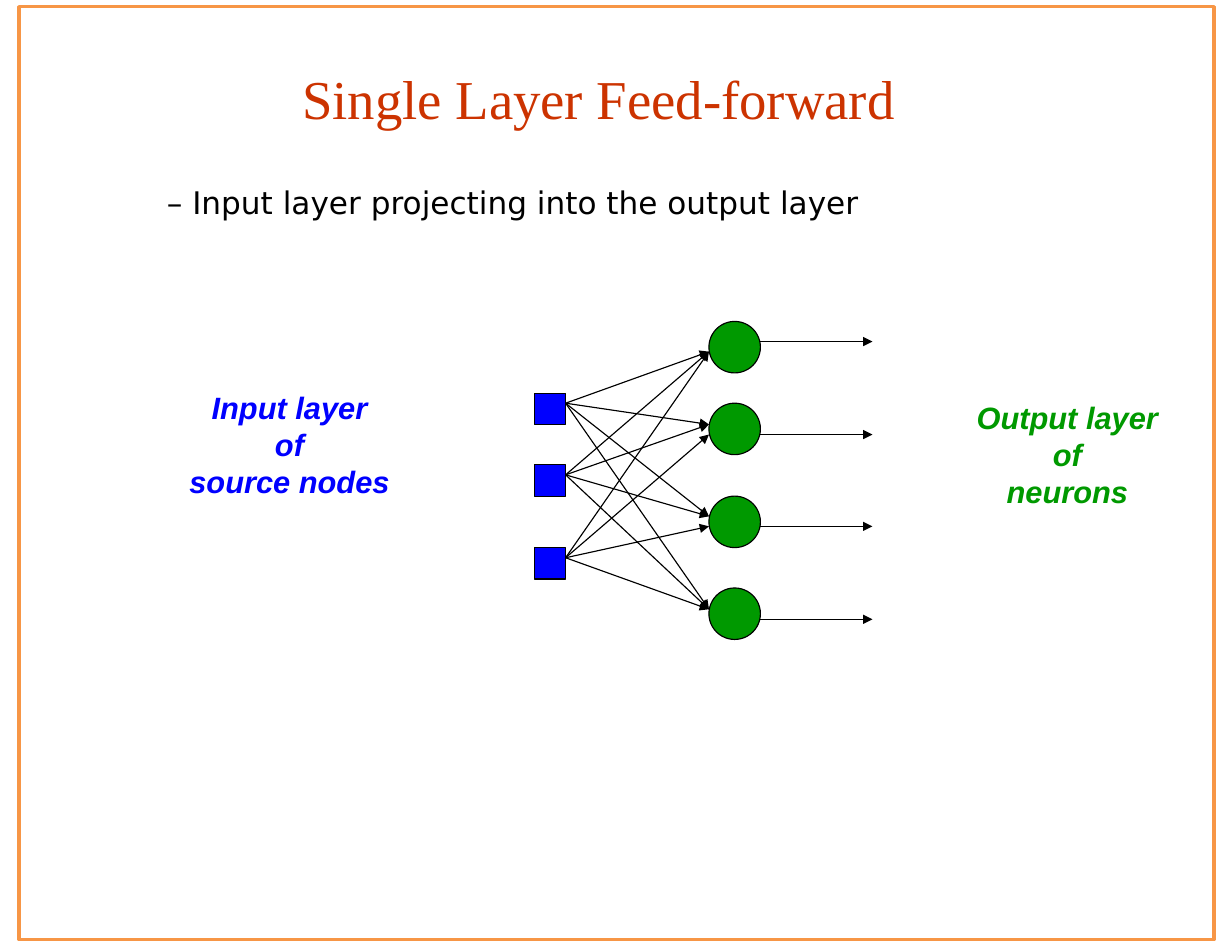
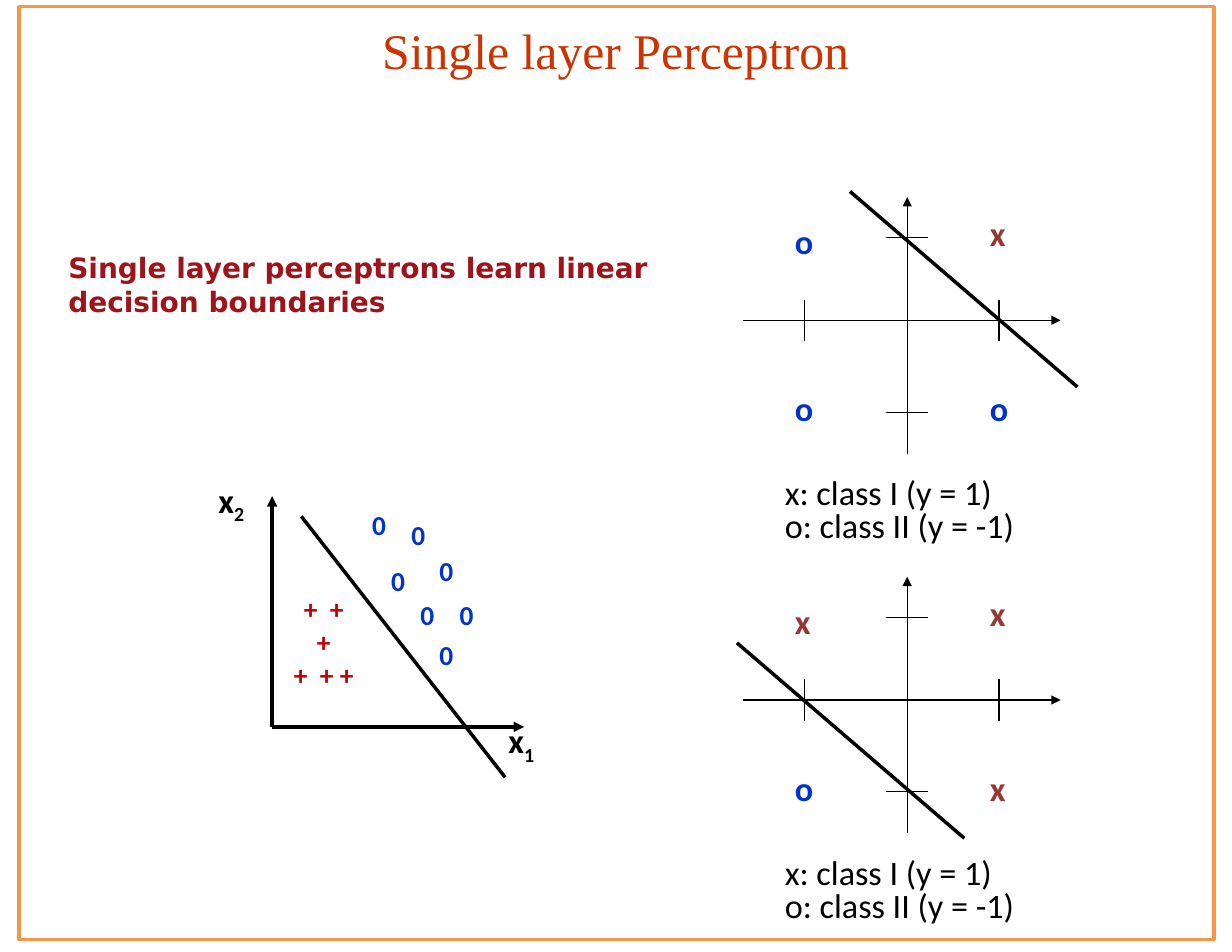
from lxml.etree import SubElement
from pptx import Presentation
from pptx.dml.color import RGBColor
from pptx.enum.shapes import MSO_CONNECTOR, MSO_SHAPE
from pptx.enum.text import MSO_ANCHOR, MSO_AUTO_SIZE, PP_ALIGN
from pptx.oxml.ns import qn
from pptx.util import Inches, Pt

# Shared colours and fonts
BLACK = "000000"
TITLE_RED = "CC3300"
FRAME_ORANGE = "F79646"
INPUT_BLUE = "0000FF"
NEURON_GREEN = "009900"
STATEMENT_RED = "9F141A"
PLUS_RED = "C00000"
CLASS_COLORS = {"x": "953735", "o": "0033CC", "0": "0033CC"}
TITLE_FONT = "Times New Roman"
BODY_FONT = "DejaVu Sans"
LABEL_FONT = "Arial"
PLOT_FONT = "Calibri"


def color(hex_string):
    return RGBColor.from_string(hex_string)


# Drawing helpers
def write_text(shape, paragraphs, size=18, font=PLOT_FONT, fill=BLACK, bold=False,
               italic=False, align=PP_ALIGN.LEFT, anchor=MSO_ANCHOR.TOP, wrap=True,
               margins=(0.1, 0.05, 0.1, 0.05), line_spacing=None, indent=0):
    """Each paragraph is a string or a list of (text, run attributes) pairs."""
    frame = shape.text_frame
    frame.auto_size = MSO_AUTO_SIZE.NONE
    frame.word_wrap = wrap
    frame.vertical_anchor = anchor
    (frame.margin_left, frame.margin_top,
     frame.margin_right, frame.margin_bottom) = map(Inches, margins)
    for index, content in enumerate(paragraphs):
        paragraph = frame.add_paragraph() if index else frame.paragraphs[0]
        paragraph.alignment = align
        paragraph.space_before = Pt(0)
        if line_spacing:
            paragraph.line_spacing = line_spacing
        if shape.is_placeholder:
            properties = paragraph._p.get_or_add_pPr()
            properties.set("marL", str(Inches(indent)))
            properties.set("indent", "0")
            SubElement(properties, qn("a:buNone"))
        runs = [(content, {})] if isinstance(content, str) else content
        for text, attributes in runs:
            run = paragraph.add_run()
            run.text = text
            run.font.size = Pt(size)
            run.font.name = font
            run.font.bold = bold
            run.font.italic = italic
            run.font.color.rgb = color(fill)
            for name, value in attributes.items():
                run.font._element.set(name, value)


def add_text(shapes, box, paragraphs, **text_format):
    shape = shapes.add_textbox(*map(Inches, box))
    write_text(shape, paragraphs, **text_format)


def fill_placeholder(placeholder, box, paragraphs, **text_format):
    (placeholder.left, placeholder.top,
     placeholder.width, placeholder.height) = map(Inches, box)
    write_text(placeholder, paragraphs, **text_format)


def add_line(shapes, start, end, width=0.75, arrow=False):
    line = shapes.add_connector(MSO_CONNECTOR.STRAIGHT, *map(Inches, (*start, *end)))
    line.line.color.rgb = color(BLACK)
    line.line.width = Pt(width)
    if arrow:
        SubElement(line.line._get_or_add_ln(), qn("a:tailEnd"), type="triangle")
    SubElement(line._element.spPr, qn("a:effectLst"))


def add_outlined(shapes, kind, box, fill=None, outline=BLACK, width=0.75):
    shape = shapes.add_shape(kind, *map(Inches, box))
    shape.shadow.inherit = False
    if fill:
        shape.fill.solid()
        shape.fill.fore_color.rgb = color(fill)
    else:
        shape.fill.background()
    shape.line.color.rgb = color(outline)
    shape.line.width = Pt(width)


# Frame and title common to both slides
def add_framed_slide(presentation, title, title_box, title_size):
    slide = presentation.slides.add_slide(presentation.slide_layouts[1])
    fill_placeholder(slide.shapes.title, title_box, [title], size=title_size,
                     font=TITLE_FONT, fill=TITLE_RED, align=PP_ALIGN.CENTER,
                     margins=(0, 0, 0, 0))
    add_outlined(slide.shapes, MSO_SHAPE.RECTANGLE, (0.17, 0.06, 10.67, 8.33),
                 outline=FRAME_ORANGE, width=2)
    return slide


# Network of source nodes and neurons
def add_network(slide, left, top):
    shapes = slide.shapes.add_group_shape().shapes
    node_size, neuron_size = 0.28, 0.46
    neuron_left = left + 1.56
    neuron_right = neuron_left + neuron_size
    node_tops = [top + offset for offset in (0.64, 1.28, 2.02)]
    neuron_tops = [top + offset for offset in (0, 0.73, 1.56, 2.38)]
    # Height on each neuron where the arrows from each source node end
    entries = [(0.27, 0.19, 0.18, 0.19), (0.27, 0.19, 0.18, 0.19), (0.27, 0.28, 0.27, 0.19)]
    exits = (0.18, 0.28, 0.27, 0.28)

    for node_top, entry_offsets in zip(node_tops, entries):
        for neuron_top, entry in zip(neuron_tops, entry_offsets):
            add_line(shapes, (left + node_size, node_top + 0.09),
                     (neuron_left, neuron_top + entry), arrow=True)
        add_outlined(shapes, MSO_SHAPE.RECTANGLE,
                     (left, node_top, node_size, node_size), fill=INPUT_BLUE)
    for neuron_top, exit_offset in zip(neuron_tops, exits):
        add_outlined(shapes, MSO_SHAPE.OVAL,
                     (neuron_left, neuron_top, neuron_size, neuron_size), fill=NEURON_GREEN)
        output_y = neuron_top + exit_offset
        add_line(shapes, (neuron_right, output_y), (neuron_right + 1, output_y), arrow=True)


# Scatter of two separable classes
def add_scatter(slide, left, top):
    shapes = slide.shapes.add_group_shape().shapes
    origin = (left, top + 2.06)
    add_line(shapes, origin, (left, top), width=2.25, arrow=True)
    add_line(shapes, origin, (left + 2.25, top + 2.06), width=2.25, arrow=True)
    add_line(shapes, (left + 0.26, top + 0.18), (left + 2.08, top + 2.51), width=2.25)

    marker = {"size": 17.6, "bold": True, "align": PP_ALIGN.CENTER,
              "anchor": MSO_ANCHOR.MIDDLE}
    wide_gap = (" ", {"spc": "400"})
    plus_rows = [[("+", {}), wide_gap, ("+", {})], "+",
                 [("+", {}), wide_gap, ("+ +", {})]]
    add_text(shapes, (left + 0.09, top + 0.8, 0.74, 0.99), plus_rows,
             fill=PLUS_RED, wrap=False, **marker)
    zero_places = [(1.21, 0.86), (1.13, 0.14), (0.78, 0.05), (1.38, 0.46),
                   (0.95, 0.55), (1.56, 0.86), (1.38, 1.21)]
    for x, y in zero_places:
        add_text(shapes, (left + x, top + y, 0.35, 0.4), ["0"],
                 fill=CLASS_COLORS["0"], **marker)

    for subscript, x, y in (("1", 2, 1.97), ("2", -0.59, -0.18)):
        add_text(shapes, (left + x, top + y, 0.45, 0.47),
                 [[("x", {}), (subscript, {"baseline": "-25000"})]], size=22, bold=True,
                 align=PP_ALIGN.CENTER, anchor=MSO_ANCHOR.MIDDLE, wrap=False)


# Plot of a logic function with its decision boundary and legend
def add_logic_plot(slide, left, top, classes, boundary_start):
    shapes = slide.shapes.add_group_shape().shapes
    center_x, center_y = left + 1.47, top + 1.1
    add_line(shapes, (left, center_y), (left + 2.84, center_y), arrow=True)
    add_line(shapes, (center_x, top + 2.29), (center_x, top), arrow=True)
    half_tick = 0.185
    for x in (center_x - 0.92, center_x + 0.82):
        add_line(shapes, (x, center_y - half_tick), (x, center_y + half_tick))
    for y in (center_y - 0.74, center_y + 0.82):
        add_line(shapes, (center_x - half_tick, y), (center_x + half_tick, y))

    start_x, start_y = left + boundary_start[0], top + boundary_start[1]
    add_line(shapes, (start_x, start_y), (start_x + 2.03, start_y + 1.745), width=2.25)

    corners = [(0.37, 0.16), (2.11, 0.09), (0.37, 1.65), (2.11, 1.65)]
    for name, (x, y) in zip(classes, corners):
        add_text(shapes, (left + x, top + y, 0.37, 0.47), [name], size=22,
                 fill=CLASS_COLORS[name], bold=True)
    add_text(shapes, (left + 0.28, top + 2.47, 3.3, 0.7),
             ["x: class I (y = 1)", "o: class II (y = -1)"], size=22, line_spacing=0.8)


def build_feed_forward(presentation):
    slide = add_framed_slide(presentation, "Single Layer Feed-forward ",
                             (0.73, 0.58, 9.35, 0.59), 35.2)
    fill_placeholder(slide.placeholders[1], (0.98, 1.56, 6.85, 0.42),
                     ["– Input layer projecting into the output layer"], size=20,
                     font=BODY_FONT, margins=(0, 0.08, 0, 0), indent=0.51)
    label = {"size": 19.8, "font": LABEL_FONT, "bold": True, "italic": True,
             "align": PP_ALIGN.CENTER, "wrap": False}
    add_text(slide.shapes, (1.58, 3.42, 2.01, 1.1),
             ["Input layer", "of", "source nodes"], fill=INPUT_BLUE, **label)
    add_text(slide.shapes, (8.61, 3.51, 1.84, 1.1),
             ["Output layer", "of", "neurons"], fill=NEURON_GREEN, **label)
    add_network(slide, 4.77, 2.87)


def build_perceptron(presentation):
    slide = add_framed_slide(presentation, "Single layer Perceptron",
                             (0.55, 0.18, 9.9, 0.54), 32)
    fill_placeholder(slide.placeholders[1], (0.61, 2.24, 5.3, 1.32),
                     ["Single layer perceptrons learn linear decision boundaries"],
                     font=BODY_FONT, fill=STATEMENT_RED, bold=True, margins=(0, 0, 0, 0))
    add_scatter(slide, 2.43, 4.43)
    add_logic_plot(slide, 6.63, 1.76, "oxoo", (0.96, -0.05))
    add_logic_plot(slide, 6.63, 5.15, "xxox", (-0.05, 0.59))


def main():
    presentation = Presentation()
    presentation.slide_width = Inches(11)
    presentation.slide_height = Inches(8.5)
    build_feed_forward(presentation)
    build_perceptron(presentation)
    presentation.save("out.pptx")


if __name__ == "__main__":
    main()
